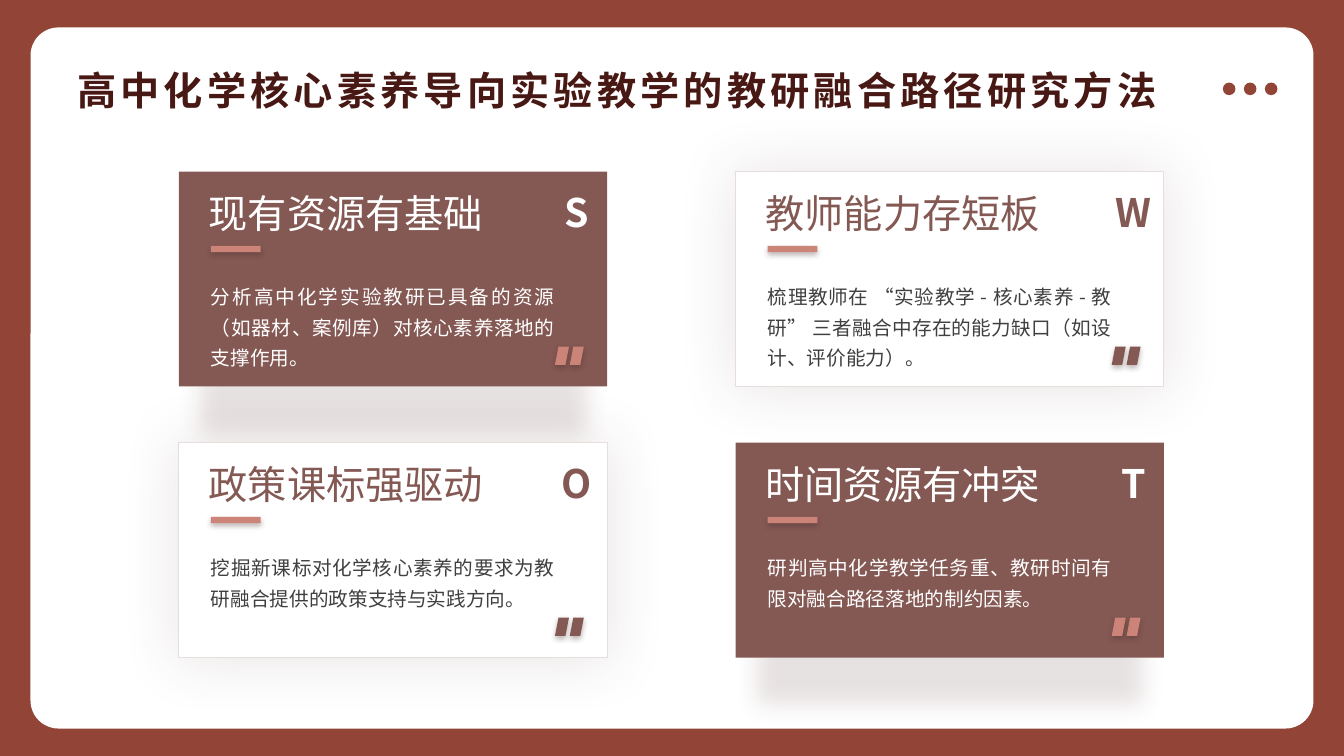
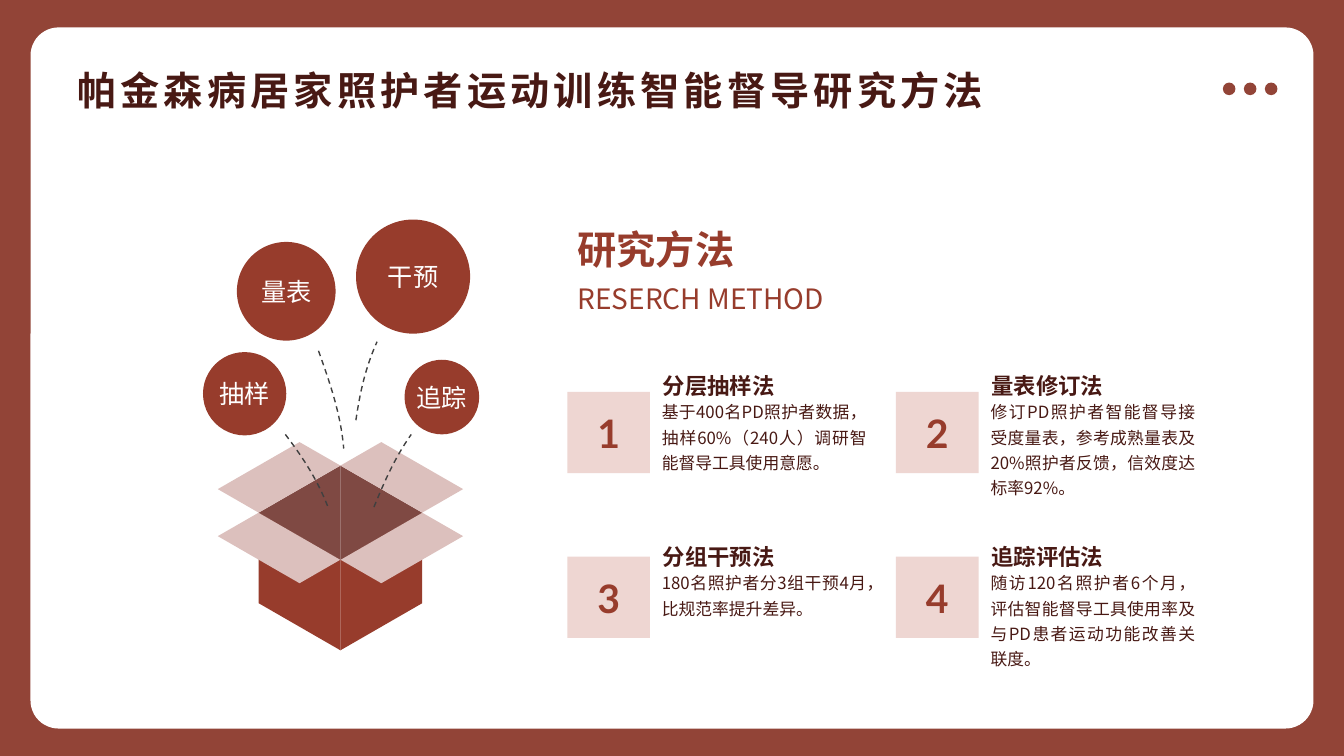
from lxml import etree
from pptx import Presentation
from pptx.dml.color import RGBColor
from pptx.enum import dml, shapes, text
from pptx.oxml import ns
from pptx.util import Pt

SANS, LATO = "Noto Sans CJK SC", "Lato"
FRAME, WHITE, TITLE = "924437", "FFFFFF", "481914"
BROWN, SALMON, GREY = "845853", "CC8478", "404040"
BRICK, BLUSH, FLAP, INSIDE = "973C2C", "EED6D2", "DCC0BD", "7F4943"
CARD_EDGE = "E6DEDD"
WIDTH, HEIGHT = 960, 540

# Shadows: colour, opacity %, blur, distance, direction in degrees, scale %
DROP_SHADOW = ("63423E", 15, 16, 41, 90, 90)
HALO_SHADOW = ("63423E", 15, 43, 0, 0, 100)
SMALL_SHADOW = ("422C29", 35, 4, 2, 90, 100)

SHAPE = shapes.MSO_SHAPE
ALIGN = text.PP_ALIGN
ANCHOR = text.MSO_ANCHOR


def colour(value):
    return RGBColor.from_string(value)


def paint(shape, fill):
    shape.shadow.inherit = False
    shape.fill.solid()
    shape.fill.fore_color.rgb = colour(fill)
    shape.line.fill.background()


def add_shadow(shape, shadow):
    tint, opacity, blur, distance, direction, scale = shadow
    effects = shape._element.spPr.find(ns.qn("a:effectLst"))
    outer = etree.SubElement(
        effects, ns.qn("a:outerShdw"), blurRad=str(Pt(blur)), dist=str(Pt(distance)),
        dir=str(direction * 60000), sx=str(scale * 1000), sy=str(scale * 1000),
        algn="ctr", rotWithShape="0")
    rgb = etree.SubElement(outer, ns.qn("a:srgbClr"), val=tint)
    etree.SubElement(rgb, ns.qn("a:alpha"), val=str(opacity * 1000))


def add_box(slide, kind, left, top, width, height, fill, shadow=None):
    shape = slide.shapes.add_shape(kind, Pt(left), Pt(top), Pt(width), Pt(height))
    paint(shape, fill)
    if shadow:
        add_shadow(shape, shadow)
    return shape


def write(shape, words, size, tint, bold=False, font=SANS, align=ALIGN.LEFT,
          anchor=ANCHOR.TOP, line=None, insets=(7.2, 3.6), tracking=0):
    frame = shape.text_frame
    frame.text = words
    frame.word_wrap = True
    frame.vertical_anchor = anchor
    frame.margin_left = frame.margin_right = Pt(insets[0])
    frame.margin_top = frame.margin_bottom = Pt(insets[1])
    paragraph = frame.paragraphs[0]
    paragraph.alignment = align
    if line:
        paragraph.line_spacing = line
    run = paragraph.runs[0]
    run.font.size = Pt(size)
    run.font.bold = bold
    run.font.color.rgb = colour(tint)
    run.font.name = font
    properties = run._r.get_or_add_rPr()
    etree.SubElement(properties, ns.qn("a:ea"), typeface=font)
    if tracking:
        properties.set("spc", str(tracking * 100))


def add_text(slide, left, top, width, height, words, size, tint, **style):
    box = slide.shapes.add_textbox(Pt(left), Pt(top), Pt(width), Pt(height))
    write(box, words, size, tint, **style)


def add_outline(slide, points, closed=True):
    points = [(Pt(x), Pt(y)) for x, y in points]
    builder = slide.shapes.build_freeform(*points[0])
    builder.add_line_segments(points[1:], close=closed)
    return builder.convert_to_shape()


def add_base(presentation, title):
    """Frame, white panel, dots and title shared by all slides."""
    slide = presentation.slides.add_slide(presentation.slide_layouts[6])
    slide.background.fill.solid()
    slide.background.fill.fore_color.rgb = colour(FRAME)
    side, edge = 21.8, 19.6
    panel = add_box(slide, SHAPE.ROUNDED_RECTANGLE, side, edge,
                    WIDTH - 2 * side, HEIGHT - 2 * edge, WHITE)
    panel.adjustments[0] = 0.04
    for index in range(3):
        add_box(slide, SHAPE.OVAL, 873.5 + 15 * index, 59, 9, 9, FRAME)
    add_text(slide, 48, 37, 864, 55, title, 28, TITLE, bold=True,
             anchor=ANCHOR.MIDDLE, tracking=3)
    return slide


# SWOT slide
def add_card(slide, left, top, letter, heading, body, dark):
    ink = WHITE if dark else BROWN
    card = add_box(slide, SHAPE.RECTANGLE, left, top, 306, 153.5,
                   BROWN if dark else WHITE, DROP_SHADOW if dark else HALO_SHADOW)
    if not dark:
        card.line.color.rgb = colour(CARD_EDGE)
        card.line.width = Pt(0.75)
    # Quote mark
    for offset in (279.3, 268.7):
        add_box(slide, SHAPE.PARALLELOGRAM, left + offset, top + 125, 10, 13,
                SALMON if dark else BROWN, SMALL_SHADOW)
    # Letter, heading, accent bar and body
    plain = {"insets": (0, 0)}
    add_text(slide, left + 265.5, top + 16, 37.5, 36.5, letter, 28, ink,
             bold=True, align=ALIGN.CENTER, line=0.9, **plain)
    add_text(slide, left + 21.5, top + 16.5, 237, 36.5, heading, 28, ink,
             line=0.9, **plain)
    add_text(slide, left + 23, top + 76, 245.5, 54, body, 14,
             WHITE if dark else GREY, align=ALIGN.JUSTIFY, line=1.3, **plain)
    add_box(slide, SHAPE.RECTANGLE, left + 23, top + 53, 35.5, 4.5, SALMON, SMALL_SHADOW)


def build_swot(presentation):
    slide = add_base(presentation, "高中化学核心素养导向实验教学的教研融合路径研究方法")
    cards = [
        ("S", "现有资源有基础",
         "分析高中化学实验教研已具备的资源（如器材、案例库）对核心素养落地的支撑作用。"),
        ("W", "教师能力存短板",
         "梳理教师在 “实验教学 - 核心素养 - 教研” 三者融合中存在的能力缺口（如设计、评价能力）。"),
        ("O", "政策课标强驱动",
         "挖掘新课标对化学核心素养的要求为教研融合提供的政策支持与实践方向。"),
        ("T", "时间资源有冲突",
         "研判高中化学教学任务重、教研时间有限对融合路径落地的制约因素。"),
    ]
    for index, card in enumerate(cards):
        row, column = divmod(index, 2)
        add_card(slide, 127.7 + 397.7 * column, 122.6 + 193.6 * row, *card,
                 dark=row == column)


# Methods slide
def add_open_box(slide, centre, top, half_width, half_height):
    """Open carton drawn on a grid of half units, mirrored left and right."""
    outlines = [
        (BRICK, [(2, 2), (2, 5.85), (0, 7.85), (0, 4)]),
        (FLAP, [(2, 2), (0, 4), (1, 5), (3, 3)]),
        (INSIDE, [(0, 0), (2, 2), (0, 4)]),
        (FLAP, [(0, 0), (2, 2), (3, 1), (1, -1)]),
    ]
    for fill, corners in outlines:
        for side in (-1, 1):
            points = [(centre + side * x * half_width, top + y * half_height)
                      for x, y in corners]
            paint(add_outline(slide, points), fill)


def add_curve(slide, points):
    """Dashed cubic curve through start, two controls and end."""
    shape = add_outline(slide, points, closed=False)
    shape.shadow.inherit = False
    shape.fill.background()
    shape.line.color.rgb = colour(GREY)
    shape.line.width = Pt(1)
    shape.line.dash_style = dml.MSO_LINE.DASH
    outline = shape._element.find(".//" + ns.qn("a:pathLst"))[0]
    curve = etree.SubElement(outline, ns.qn("a:cubicBezTo"))
    for segment in outline.findall(ns.qn("a:lnTo")):
        curve.append(segment[0])
        outline.remove(segment)


def add_bubble(slide, left, top, diameter, label):
    bubble = add_box(slide, SHAPE.OVAL, left, top, diameter, diameter, BRICK)
    write(bubble, label, 18, WHITE, align=ALIGN.CENTER, anchor=ANCHOR.MIDDLE,
          insets=(0, 0))


def add_method(slide, left, top, drop, number, heading, body):
    square = add_box(slide, SHAPE.RECTANGLE, left, top + drop, 59, 58, BLUSH)
    write(square, number, 28, BRICK, bold=True, font=LATO, align=ALIGN.CENTER,
          anchor=ANCHOR.MIDDLE, insets=(0, 0))
    add_text(slide, left + 60.5, top + 17.5, 160.5, 80, body, 12, TITLE,
             align=ALIGN.JUSTIFY, line=1.25)
    add_text(slide, left + 61.2, top, 102, 26.6, heading, 16, TITLE, bold=True)


def build_methods(presentation):
    slide = add_base(presentation, "帕金森病居家照护者运动训练智能督导研究方法")
    # Carton with bubbles rising from it
    add_open_box(slide, 243.2, 332.6, 29.2, 16.8)
    bubbles = [(169.2, 172.8, 70.5, "量表"), (145, 251.5, 59.5, "抽样"),
               (289, 257, 53.3, "追踪"), (254.3, 156.8, 81.5, "干预")]
    for bubble in bubbles:
        add_bubble(slide, *bubble)
    curves = [
        [(227.5, 250.6), (235.4, 272.9), (243.4, 295.2), (245.5, 320.4)],
        [(203.8, 310.3), (215.3, 325.4), (226.1, 341.3), (234, 361.4)],
        [(254.2, 300.2), (257, 281.5), (260.6, 263.5), (269.3, 244.1)],
        [(267.1, 362.2), (274.3, 344.9), (281.5, 327.6), (293.8, 310.3)],
    ]
    for curve in curves:
        add_curve(slide, curve)
    # Section heading
    add_text(slide, 405.5, 157.7, 300, 41, "研究方法", 28, BRICK, bold=True)
    add_text(slide, 405.5, 197.3, 300, 32.4, "RESERCH METHOD", 20, BRICK)
    # Four methods
    methods = [
        ("1", "分层抽样法", "基于400名PD照护者数据，抽样60%（240人）调研智能督导工具使用意愿。"),
        ("2", "量表修订法", "修订PD照护者智能督导接受度量表，参考成熟量表及20%照护者反馈，信效度达标率92%。"),
        ("3", "分组干预法", "180名照护者分3组干预4月，比规范率提升差异。"),
        ("4", "追踪评估法", "随访120名照护者6个月，评估智能督导工具使用率及与PD患者运动功能改善关联度。"),
    ]
    rows = [(262.6, 17.4), (384.7, 13)]
    for index, method in enumerate(methods):
        row, column = divmod(index, 2)
        add_method(slide, 405.2 + 234.8 * column, *rows[row], *method)


def main():
    presentation = Presentation()
    presentation.slide_width, presentation.slide_height = Pt(WIDTH), Pt(HEIGHT)
    build_swot(presentation)
    build_methods(presentation)
    presentation.save("out.pptx")


if __name__ == "__main__":
    main()
